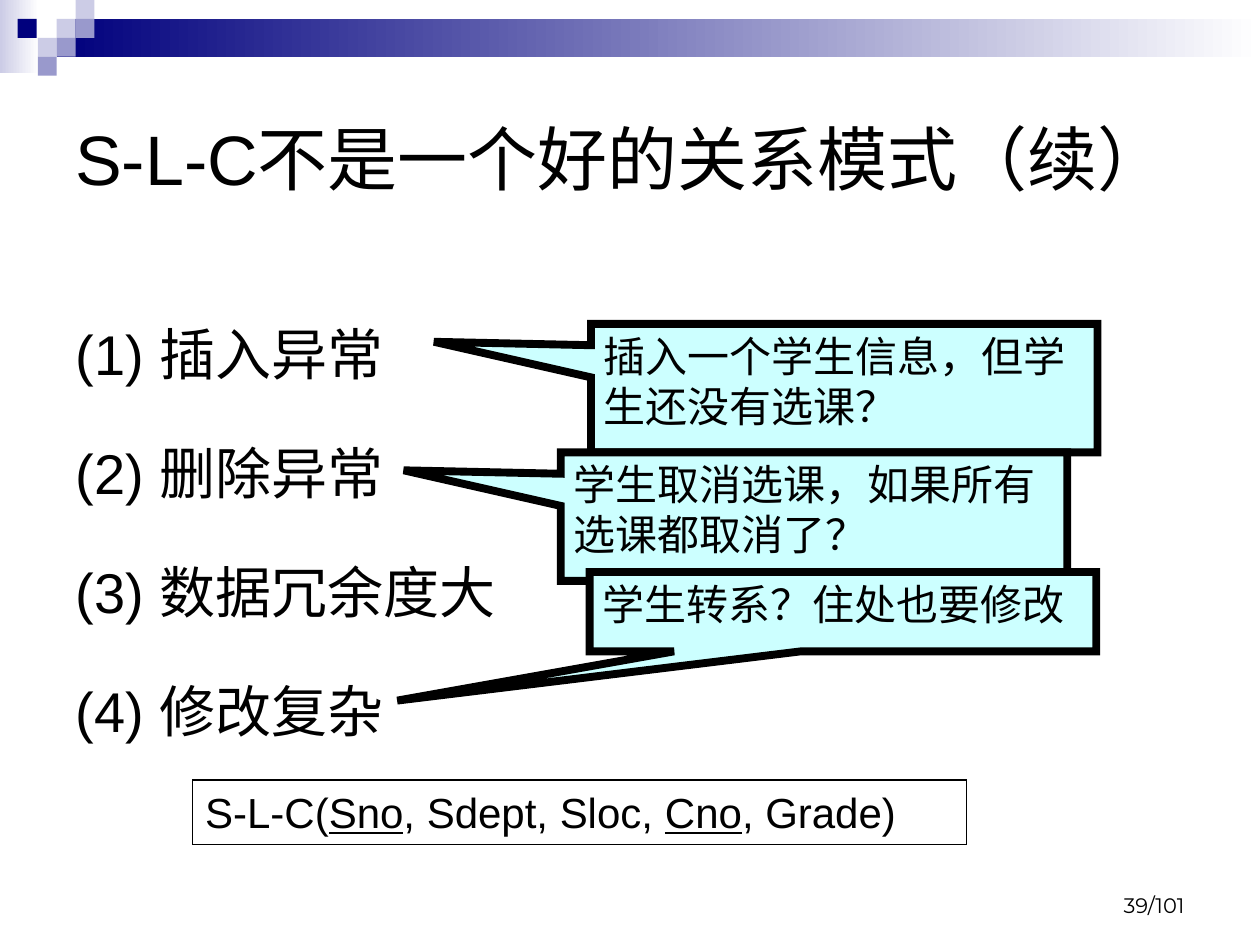
"""Build the slide on why S-L-C is a poor relation schema."""
from typing import NamedTuple

from lxml import etree
from pptx import Presentation
from pptx.dml.color import RGBColor
from pptx.enum.lang import MSO_LANGUAGE_ID
from pptx.enum.shapes import MSO_SHAPE
from pptx.enum.text import MSO_ANCHOR, PP_ALIGN
from pptx.oxml.ns import qn
from pptx.util import Inches, Pt

RECT, CALLOUT = MSO_SHAPE.RECTANGLE, MSO_SHAPE.RECTANGULAR_CALLOUT
TOP, MIDDLE, BOTTOM = MSO_ANCHOR.TOP, MSO_ANCHOR.MIDDLE, MSO_ANCHOR.BOTTOM
LEFT, RIGHT = PP_ALIGN.LEFT, PP_ALIGN.RIGHT
CHINESE = MSO_LANGUAGE_ID.SIMPLIFIED_CHINESE
COLORS = {"ink": "000000", "paper": "FFFFFF", "navy": "00007D",
          "pale": "CCCCE6", "mid": "9999CC", "note": "CCFFFF"}
COLS, ROWS = 200, 150
TILE = 3


class Box(NamedTuple):
    col: float
    row: float
    cols: float
    rows: float


class Tile(NamedTuple):
    col: float
    row: float
    color: str


class Note(NamedTuple):
    box: Box
    tip: tuple[float, float]
    text: str


BANDS = [(Box(0, 0, 6.2, 11.6), "pale"), (Box(9, 3, 191, 6), "navy")]
TILES = [Tile(9, 3, "pale"), Tile(12, 0, "pale"), Tile(12, 3, "mid"),
         Tile(6, 6, "pale"), Tile(2.8, 3, "navy"), Tile(9, 6, "mid"),
         Tile(6, 9, "mid")]
PROBLEMS = ["插入异常", "删除异常", "数据冗余度大", "修改复杂"]
NOTES = [
    Note(Box(93.8, 51.4, 80.4, 20.4), (-0.81, -0.36), "插入一个学生信息，但学生还没有选课？"),
    Note(Box(89, 71.8, 80.4, 20.4), (-0.81, -0.36), "学生取消选课，如果所有选课都取消了？"),
    Note(Box(93.6, 90.8, 80.4, 12.6), (-0.88, 1.12), "学生转系？住处也要修改"),
]
SCHEMA = [("S-L-C(", False), ("Sno", True), (", Sdept, Sloc, ", False),
          ("Cno", True), (", Grade)", False)]

prs = Presentation()
prs.slide_width, prs.slide_height = Inches(10), Inches(7.5)
s = prs.slides.add_slide(prs.slide_layouts[6])


def rgb(name: str) -> RGBColor:
    return RGBColor.from_string(COLORS[name])


def place(box: Box) -> tuple[int, int, int, int]:
    w, h = prs.slide_width / COLS, prs.slide_height / ROWS
    return (round(box.col * w), round(box.row * h),
            round(box.cols * w), round(box.rows * h))


def add_shape(box: Box, kind=RECT, fill: str = "", line: float = 0):
    sp = s.shapes.add_shape(kind, *place(box))
    sp.shadow.inherit = False
    if fill:
        sp.fill.solid()
        sp.fill.fore_color.rgb = rgb(fill)
    else:
        sp.fill.background()
    if line:
        sp.line.color.rgb = rgb("ink")
        sp.line.width = Pt(line)
        etree.SubElement(sp.line._get_or_add_ln(), qn("a:miter"), lim="800000")
    else:
        sp.line.fill.background()
    return sp


def add_band(box: Box, color: str) -> None:
    sp = add_shape(box)
    sp.fill.gradient()
    sp.fill.gradient_angle = 0
    for stop, pos, name in zip(sp.fill.gradient_stops, (0, 1), (color, "paper")):
        stop.position = pos
        stop.color.rgb = rgb(name)


def add_textbox(box: Box):
    return s.shapes.add_textbox(*place(box))


def write(sp, paragraphs, *, size=24, font="Arial", anchor=TOP, align=LEFT,
          spacing=None, before=0.0, hang=0.0) -> None:
    tf = sp.text_frame
    tf.word_wrap = True
    tf.vertical_anchor = anchor
    for i, runs in enumerate(paragraphs):
        p = tf.add_paragraph() if i else tf.paragraphs[0]
        p.alignment = align
        if spacing:
            p.line_spacing = spacing
            p.space_before = Pt(before)
        if hang:
            pPr = p._p.get_or_add_pPr()
            pPr.set("marL", str(Inches(hang)))
            pPr.set("indent", str(-Inches(hang)))
        for text, underline in runs:
            r = p.add_run()
            r.text = text
            r.font.name, r.font.size = font, Pt(size)
            r.font.color.rgb = rgb("ink")
            r.font.language_id = CHINESE
            if underline:
                r.font.underline = True


def add_note(note: Note) -> None:
    sp = add_shape(note.box, CALLOUT, "note", 4.5)
    sp.adjustments[0], sp.adjustments[1] = note.tip
    write(sp, [[(note.text, False)]])


def main() -> None:
    for box, color in BANDS:
        add_band(box, color)
    for tile in TILES:
        add_shape(Box(tile.col, tile.row, TILE, TILE), fill=tile.color)
    write(add_textbox(Box(10, 10, 180, 30)),
          [[("S-L-C不是一个好的关系模式（续）", False)]], size=40, anchor=MIDDLE)
    write(add_textbox(Box(10, 43.4, 180, 85)),
          [[(f"({n}) {name}", False)] for n, name in enumerate(PROBLEMS, 1)],
          size=32, spacing=1.6, before=6.4, hang=0.38)
    write(add_shape(Box(30.6, 123.8, 122.8, 10.2), line=0.75), [SCHEMA])
    for note in NOTES:
        add_note(note)
    write(add_textbox(Box(143.4, 136.6, 46.6, 10)), [[("39/101", False)]],
          size=12, font="Montserrat", anchor=BOTTOM, align=RIGHT)
    prs.save("out.pptx")


if __name__ == "__main__":
    main()
